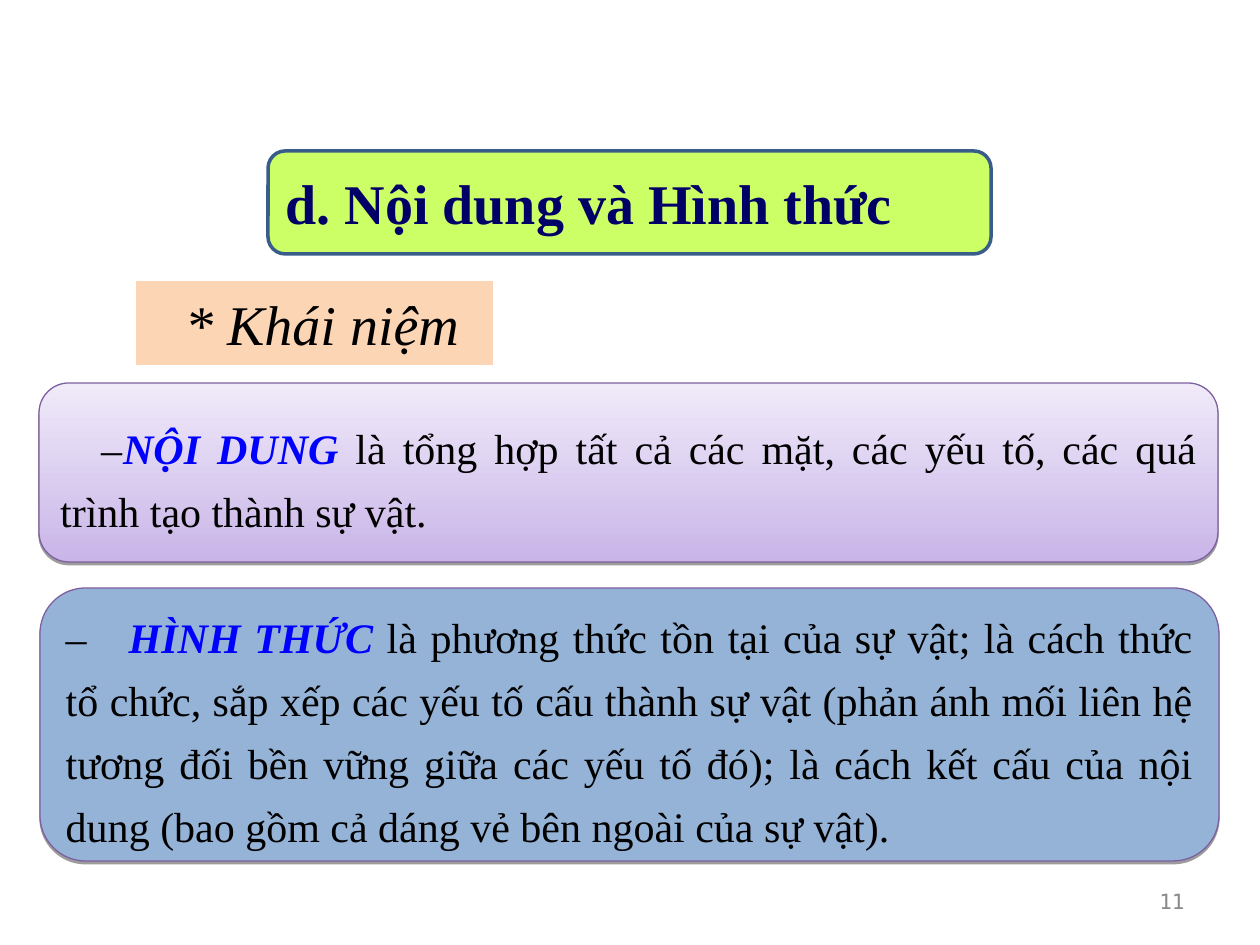
from dataclasses import dataclass

from lxml import etree
from pptx import Presentation
from pptx import util as u
from pptx.dml.color import RGBColor
from pptx.enum import shapes, text
from pptx.oxml import parse_xml
from pptx.oxml.ns import nsdecls, qn

PX = 914400 / 126


def px(length):
    return u.Emu(round(length * PX))


@dataclass(frozen=True)
class Theme:
    serif: str = "Times New Roman"
    mono: str = "DejaVu Sans Mono"
    ink: str = "000000"
    navy: str = "000066"
    term: str = "0000FF"
    muted: str = "898989"
    lime: str = "CCFF66"
    lime_edge: str = "385D8A"
    peach: str = "FCD5B5"
    lilac: tuple = ("C9B5E8", "F0EAF9")
    blue: str = "95B3D7"
    card_edge: str = "7D60A0"
    heading: int = 32
    body: int = 24
    small: int = 12


THEME = Theme()


def add_text(para, words, size=THEME.body, color=THEME.ink, face=THEME.serif,
             bold=False, italic=False):
    span = para.add_run()
    span.text = words
    font = span.font
    font.name, font.size = face, u.Pt(size)
    font.bold, font.italic = bold, italic
    font.color.rgb = RGBColor.from_string(color)


class Builder:
    def __init__(self, page, theme):
        self.page, self.theme = page, theme

    def frame(self, box, align):
        frame = box.text_frame
        frame.word_wrap = True
        frame.auto_size = text.MSO_AUTO_SIZE.NONE
        frame.vertical_anchor = text.MSO_ANCHOR.MIDDLE
        para = frame.paragraphs[0]
        para.alignment = align
        return para

    def fill(self, box, color):
        if isinstance(color, tuple):
            box.fill.gradient()
            box.fill.gradient_angle = 90
            for stop, shade in zip(box.fill.gradient_stops, color):
                stop.color.rgb = RGBColor.from_string(shade)
                stop.position = color.index(shade)
        else:
            box.fill.solid()
            box.fill.fore_color.rgb = RGBColor.from_string(color)

    def rounded(self, place, fill, edge, width):
        box = self.page.shapes.add_shape(
            shapes.MSO_SHAPE.ROUNDED_RECTANGLE, *map(px, place))
        box.adjustments[0] = 0.167
        box.shadow.inherit = False
        self.fill(box, fill)
        box.line.color.rgb = RGBColor.from_string(edge)
        box.line.width = u.Pt(width)
        return box

    def heading(self, place, words):
        box = self.rounded(place, self.theme.lime, self.theme.lime_edge, 2)
        add_text(self.frame(box, text.PP_ALIGN.LEFT), words,
                 size=self.theme.heading, color=self.theme.navy, bold=True)

    def title(self, place, words):
        box = self.page.shapes.title
        box.left, box.top, box.width, box.height = map(px, place)
        self.fill(box, self.theme.peach)
        para = self.frame(box, text.PP_ALIGN.CENTER)
        box.text_frame.margin_left = px(28)
        add_text(para, words, size=self.theme.heading, italic=True)

    def card(self, place, fill, term, meaning, indent, tab):
        box = self.rounded(place, fill, self.theme.card_edge, 0.75)
        self.drop_shadow(box)
        para = self.frame(box, text.PP_ALIGN.JUSTIFY)
        para.line_spacing = 1.25
        # First-line indent, and a tab stop between the dash and the term
        props = para._p.get_or_add_pPr()
        props.set("marL", "0")
        props.set("indent", str(px(indent)))
        stops = etree.SubElement(props, qn("a:tabLst"))
        etree.SubElement(stops, qn("a:tab"), pos=str(px(tab)), algn="l")
        add_text(para, "–\t")
        add_text(para, term, color=self.theme.term, bold=True, italic=True)
        add_text(para, meaning)

    def drop_shadow(self, box):
        effects = box._element.spPr.find(qn("a:effectLst"))
        effects.append(parse_xml(
            f'<a:outerShdw {nsdecls("a")} blurRad="0" dist="{u.Pt(1.6)}" '
            'dir="5400000" rotWithShape="0"><a:srgbClr val="000000">'
            '<a:alpha val="38000"/></a:srgbClr></a:outerShdw>'))

    def page_number(self, place, words):
        box = self.page.shapes.add_textbox(*map(px, place))
        add_text(self.frame(box, text.PP_ALIGN.RIGHT), words,
                 size=self.theme.small, color=self.theme.muted,
                 face=self.theme.mono)


def main():
    deck = Presentation()
    deck.slide_width, deck.slide_height = px(1260), px(945)
    page = deck.slides.add_slide(deck.slide_layouts[5])
    build = Builder(page, THEME)

    # Section heading and title
    build.heading((268, 151, 723, 103), "d. Nội dung và Hình thức")
    build.title((136, 281, 357, 84), "* Khái niệm")

    # Definitions
    build.card((39, 383, 1179, 179), THEME.lilac, "NỘI DUNG",
               " là tổng hợp tất cả các mặt, các yếu tố, các quá trình tạo "
               "thành sự vật.", indent=41, tab=105)
    build.card((40, 588, 1179, 273), THEME.blue, "HÌNH THỨC",
               " là phương thức tồn tại của sự vật; là cách thức tổ chức, sắp "
               "xếp các yếu tố cấu thành sự vật (phản ánh mối liên hệ tương "
               "đối bền vững giữa các yếu tố đó); là cách kết cấu của nội dung "
               "(bao gồm cả dáng vẻ bên ngoài của sự vật).", indent=0, tab=53)

    # Footer
    build.page_number((903, 876, 294, 50), "11")
    deck.save("out.pptx")


if __name__ == "__main__":
    main()
